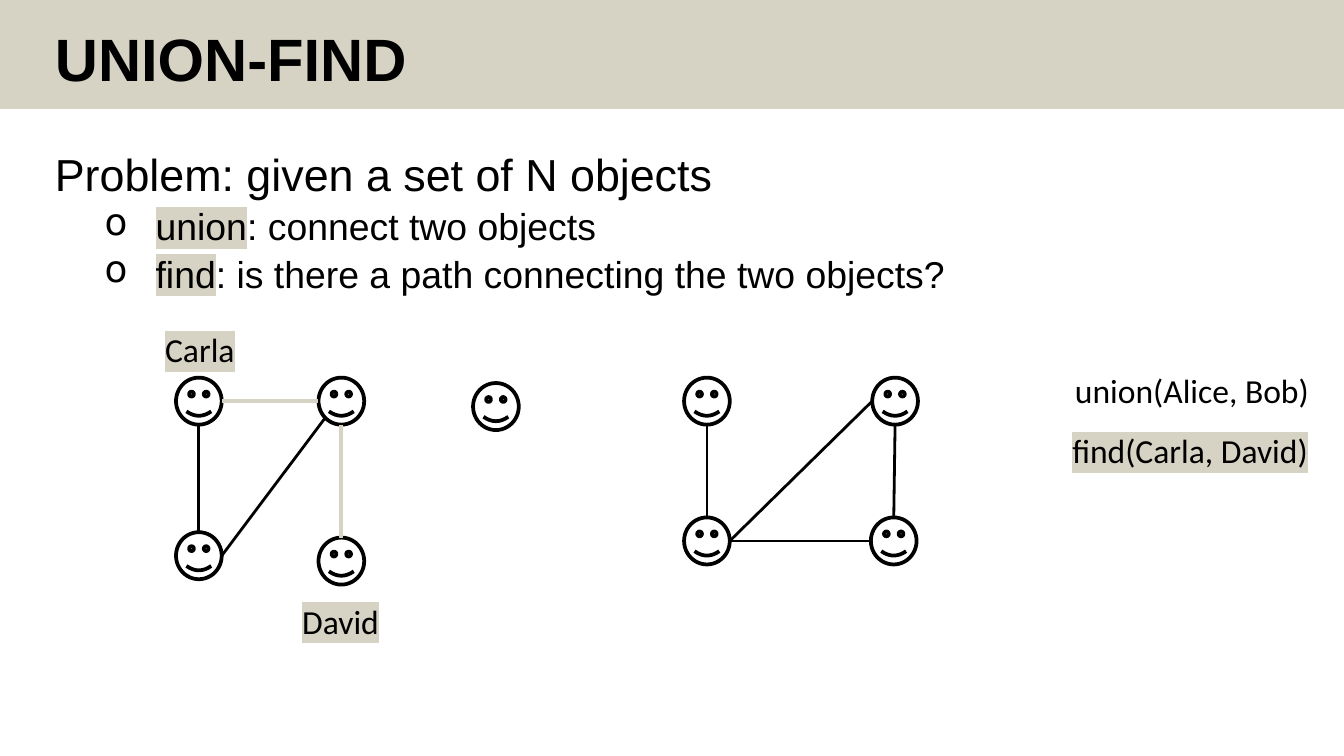
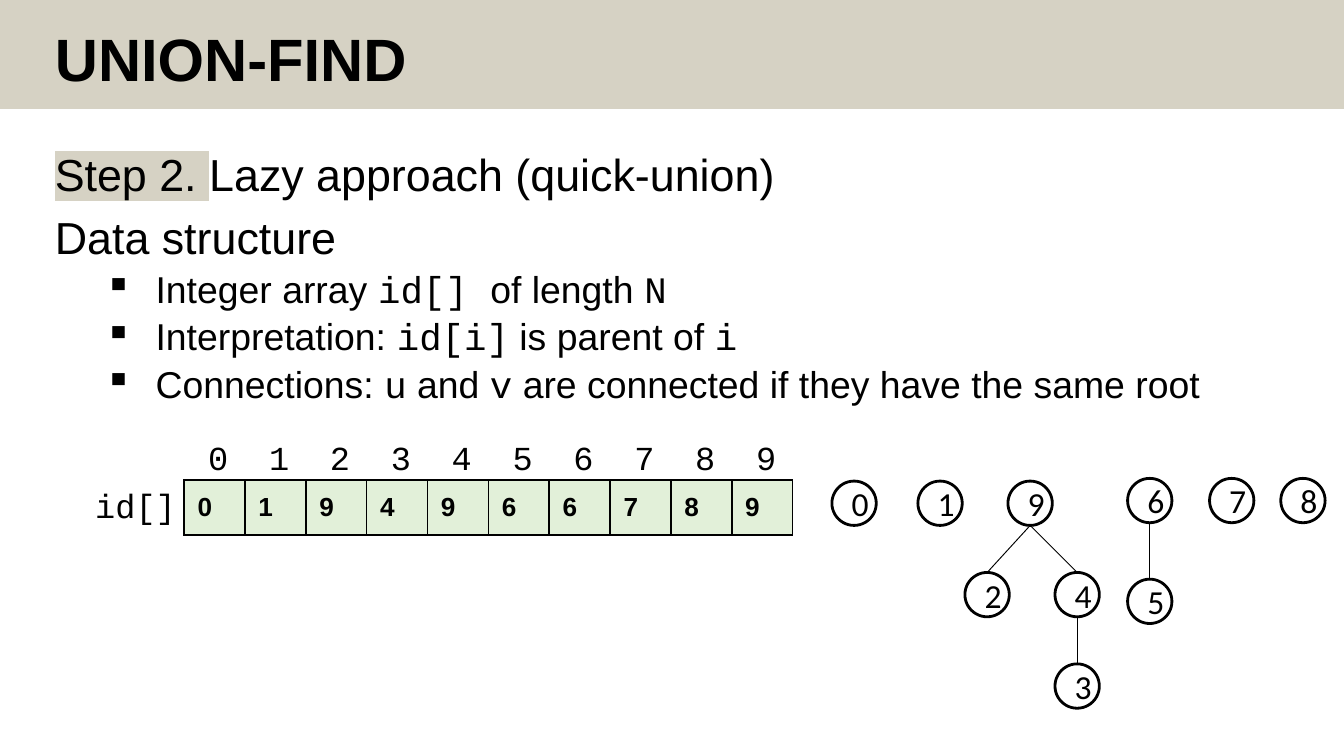
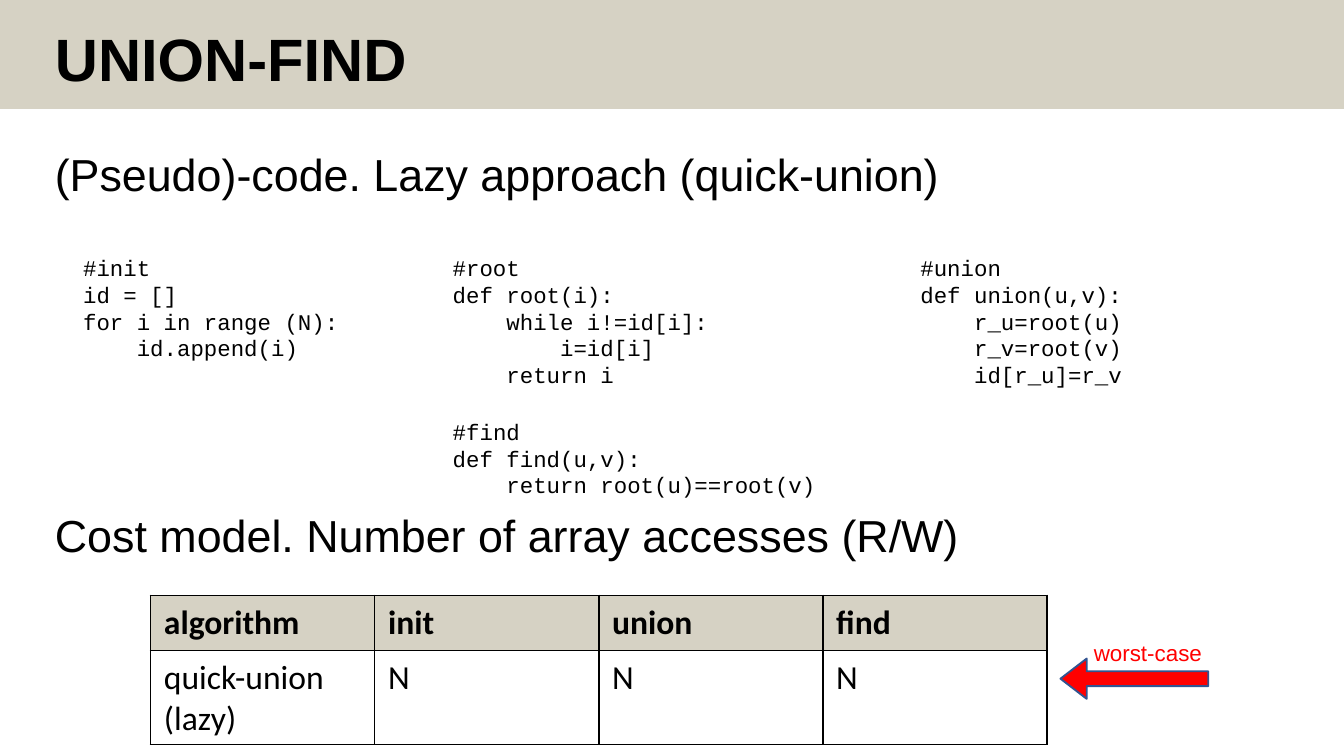
"""Build three union-find slides: the problem, the quick-union data structure and its cost."""
import lxml.etree
import pptx
import pptx.dml.color
import pptx.enum.shapes
import pptx.enum.text
import pptx.oxml.ns
import pptx.util

SAND, BLACK, WHITE, RED, BLUE, GREEN = "D6D2C4", "000000", "FFFFFF", "FF0000", "325491", "E2F0D9"
SHAPES = pptx.enum.shapes.MSO_SHAPE
MIDDLE = pptx.enum.text.MSO_ANCHOR.MIDDLE
qn = pptx.oxml.ns.qn


def paint(fill, colour):
    """Make a fill solid in the colour given as a hex string."""
    fill.solid()
    fill.fore_color.rgb = pptx.dml.color.RGBColor.from_string(colour)


def write_text(text_frame, paragraphs, **style):
    """Write (runs, format) paragraphs, where each run is (text, format)."""
    for number, (runs, paragraph_format) in enumerate(paragraphs):
        look = {"name": "Arial", "colour": BLACK, **style, **paragraph_format}
        paragraph = text_frame.add_paragraph() if number else text_frame.paragraphs[0]
        properties = paragraph._p.get_or_add_pPr()
        if "bullet" in look:
            properties.set("marL", str(pptx.util.Inches(0.75)))
            properties.set("indent", str(pptx.util.Inches(-0.38)))
            lxml.etree.SubElement(properties, qn("a:buChar"), char=look["bullet"])
        if "tabs" in look:
            tab_list = lxml.etree.SubElement(properties, qn("a:tabLst"))
            for position in look["tabs"]:
                lxml.etree.SubElement(tab_list, qn("a:tab"), pos=str(int(position)), algn="l")
        for key in ("alignment", "line_spacing", "space_before"):
            if key in look and (number or key != "space_before"):
                setattr(paragraph, key, look[key])
        for text, run_format in runs:
            run_look = {**look, **run_format}
            run = paragraph.add_run()
            run.text = text
            paint(run.font.fill, run_look["colour"])
            if "highlight" in run_look:
                highlight = lxml.etree.SubElement(run._r.get_or_add_rPr(), qn("a:highlight"))
                lxml.etree.SubElement(highlight, qn("a:srgbClr"), val=run_look["highlight"])
            for key in ("name", "size", "bold"):
                if key in run_look:
                    setattr(run.font, key, run_look[key])


presentation = pptx.Presentation()
presentation.slide_width = pptx.util.Inches(10)
presentation.slide_height = presentation.slide_width * 9 // 16
column = row = presentation.slide_width // 10

size = {points: pptx.util.Pt(points) for points in (12, 14, 18, 20, 24, 32)}
title_style = {"size": size[32], "bold": True, "line_spacing": 0.9}
heading = {"size": size[24], "space_before": pptx.util.Pt(7.5)}
item = {"size": size[20], "space_before": pptx.util.Pt(3.8)}
circle_item = {**item, "bullet": "o"}
square_item = {**item, "bullet": "▪"}
plain = {}
marked = {"highlight": SAND}
mono = {"name": "Courier New"}
name_style = {"name": "Calibri", "size": size[18]}
marked_name = {**name_style, **marked}
array_style = {**mono, "size": size[18]}
code_style = {**mono, "size": size[12]}

bodies = [
    [
        ([("Problem: given a set of N objects", plain)], heading),
        ([("union", marked), (": connect two objects", plain)], circle_item),
        ([("find", marked), (": is there a path connecting the two objects?", plain)], circle_item),
    ],
    [
        ([("Step 2. ", marked), ("Lazy approach (quick-union)", plain)], heading),
        ([("Data structure", plain)], heading),
        ([("Integer array ", plain), ("id[] ", mono), ("of length ", plain), ("N", mono)], square_item),
        ([("Interpretation: ", plain), ("id[i]", mono), (" is parent of ", plain), ("i", mono)], square_item),
        ([("Connections: ", plain), ("u", mono), (" and ", plain), ("v", mono),
          (" are connected if they have the same root", plain)], square_item),
    ],
    [([("(Pseudo)-code. Lazy approach (quick-union)", plain)], heading)],
]

slides = []
for body in bodies:
    slide = presentation.slides.add_slide(presentation.slide_layouts[6])
    slides.append(slide)
    band = slide.shapes.add_shape(SHAPES.RECTANGLE, 0, 0, presentation.slide_width, int(0.81 * row))
    band.shadow.inherit = False
    paint(band.fill, SAND)
    band.line.fill.background()
    for top, height, paragraphs, style in (
        (0.17, 0.64, [([("UNION-FIND", plain)], plain)], title_style),
        (1.09, 4.1, body, {"line_spacing": 0.9}),
    ):
        width = 8.62 if style is title_style else 9.14
        box = slide.shapes.add_textbox(
            int(0.31 * column), int(top * row), int(width * column), int(height * row))
        box.text_frame.word_wrap = True
        write_text(box.text_frame, paragraphs, **style)

problem_slide, structure_slide, cost_slide = slides

array_width = 4.53
index_tabs = [array_width / 10 * column * step for step in range(1, 10)]
init_code = """#init
id = []
for i in range (N):
    id.append(i)"""
root_code = """#root
def root(i):
    while i!=id[i]:
        i=id[i]
    return i"""
find_code = """#find
def find(u,v):
    return root(u)==root(v)"""
union_code = """#union
def union(u,v):
    r_u=root(u)
    r_v=root(v)
    id[r_u]=r_v"""

labels = [
    (problem_slide, 2.15, 4.42, 0.78, 0.4, "David", marked_name),
    (problem_slide, 1.13, 2.4, 0.72, 0.4, "Carla", marked_name),
    (problem_slide, 7.88, 3.15, 1.98, 0.4, "find(Carla, David)", marked_name),
    (problem_slide, 7.9, 2.7, 1.97, 0.4, "union(Alice, Bob)", name_style),
    (structure_slide, 0.61, 3.56, 0.81, 0.4, "id[]", array_style),
    (structure_slide, 1.45, 3.2, 4.72, 0.4, "\t".join("0123456789"), {**array_style, "tabs": index_tabs}),
    (cost_slide, 0.52, 1.84, 2.13, 0.91, init_code, code_style),
    (cost_slide, 3.27, 1.84, 2.13, 1.11, root_code, code_style),
    (cost_slide, 3.27, 3.06, 2.95, 0.71, find_code, code_style),
    (cost_slide, 6.75, 1.84, 2.94, 1.11, union_code, code_style),
    (cost_slide, 0.31, 3.73, 6.99, 0.5, "Cost model. Number of array accesses (R/W)", {"size": size[24]}),
    (cost_slide, 8.04, 4.71, 1.01, 0.3, "worst-case", {"size": size[12], "colour": RED}),
]
for slide, left, top, width, height, text, style in labels:
    box = slide.shapes.add_textbox(
        int(left * column), int(top * row), int(width * column), int(height * row))
    box.text_frame.word_wrap = False
    write_text(box.text_frame, [([(line, plain)], plain) for line in text.splitlines()], **style)

TOP, LEFT, BOTTOM, RIGHT, LOWER_LEFT = (0.5, 0), (0, 0.5), (0.5, 1), (1, 0.5), (0.15, 0.85)
people = {
    "Carla": (1.31, 2.81), "below Carla": (1.31, 3.96),
    "above David": (2.37, 2.81), "David": (2.37, 4), "loner": (3.52, 2.85),
    "upper left": (5.09, 2.81), "lower left": (5.09, 3.85),
    "upper right": (6.49, 2.81), "lower right": (6.48, 3.85),
}
friendships = [
    ("Carla", BOTTOM, "below Carla", TOP, BLACK, 1.5),
    ("Carla", RIGHT, "above David", LEFT, SAND, 2),
    ("above David", BOTTOM, "David", TOP, SAND, 2),
    ("below Carla", RIGHT, "above David", LOWER_LEFT, BLACK, 1.5),
    ("upper left", BOTTOM, "lower left", TOP, BLACK, 1.5),
    ("upper right", BOTTOM, "lower right", TOP, BLACK, 1.5),
    ("lower left", RIGHT, "upper right", LEFT, BLACK, 1.5),
    ("lower left", RIGHT, "lower right", LEFT, BLACK, 1.5),
]
tree_nodes = {
    "0": (6.19, 3.58), "1": (6.83, 3.58), "9": (7.5, 3.58), "2": (7.18, 4.26), "4": (7.85, 4.26),
    "3": (7.85, 4.94), "6": (8.39, 3.56), "5": (8.39, 4.31), "7": (9, 3.56), "8": (9.53, 3.56),
}
tree_edges = [(parent, BOTTOM, child, TOP, BLACK, 0.5) for parent, child in ("94", "92", "43", "65")]

graphs = [
    (problem_slide, SHAPES.SMILEY_FACE, 0.34, 0.35, 2, people, friendships),
    (structure_slide, SHAPES.OVAL, 0.33, 0.33, 1.5, tree_nodes, tree_edges),
]
for slide, node_kind, width, height, weight, nodes, edges in graphs:
    for name, (left, top) in nodes.items():
        node = slide.shapes.add_shape(
            node_kind, int(left * column), int(top * row), int(width * column), int(height * row))
        node.shadow.inherit = False
        node.fill.background()
        paint(node.line.fill, BLACK)
        node.line.width = pptx.util.Pt(weight)
        if node_kind == SHAPES.OVAL:
            node.text_frame.vertical_anchor = MIDDLE
            write_text(node.text_frame, [([(name, plain)], plain)],
                       alignment=pptx.enum.text.PP_ALIGN.CENTER, **name_style)
    for start, start_point, end, end_point, colour, thickness in edges:
        ends = []
        for name, (across, down) in ((start, start_point), (end, end_point)):
            left, top = nodes[name]
            ends += [int((left + across * width) * column), int((top + down * height) * row)]
        edge = slide.shapes.add_connector(pptx.enum.shapes.MSO_CONNECTOR.STRAIGHT, *ends)
        paint(edge.line.fill, colour)
        edge.line.width = pptx.util.Pt(thickness)
        lxml.etree.SubElement(edge._element.spPr, qn("a:effectLst"))

array_cell = {"size": size[14], "bold": True}
header_cell = {**name_style, "bold": True}
tables = [
    (structure_slide, 1.37, 3.57, array_width, [(list("0194966789"), GREEN, array_cell)]),
    (cost_slide, 1.12, 4.43, 6.67, [
        (["algorithm", "init", "union", "find"], SAND, header_cell),
        (["quick-union (lazy)", "N", "N", "N"], WHITE, name_style),
    ]),
]
tables[0][4][0][1:]
for slide, left, top, width, table_rows in tables:
    table = slide.shapes.add_table(
        len(table_rows), len(table_rows[0][0]), int(left * column), int(top * row),
        int(width * column), int(0.41 * row * len(table_rows))).table
    table.first_row = table.horz_banding = False
    for row_number, (values, colour, style) in enumerate(table_rows):
        for column_number, value in enumerate(values):
            cell = table.cell(row_number, column_number)
            if style is array_cell:
                cell.vertical_anchor = MIDDLE
            properties = cell._tc.get_or_add_tcPr()
            for side in ("a:lnL", "a:lnR", "a:lnT", "a:lnB"):
                border = lxml.etree.SubElement(properties, qn(side), w=str(pptx.util.Pt(1)))
                border_fill = lxml.etree.SubElement(border, qn("a:solidFill"))
                lxml.etree.SubElement(border_fill, qn("a:srgbClr"), val=BLACK)
            paint(cell.fill, colour)
            write_text(cell.text_frame, [([(value, plain)], plain)], **style)

arrow = cost_slide.shapes.add_shape(
    SHAPES.RIGHT_ARROW, int(7.89 * column), int(4.9 * row), int(1.1 * column), int(0.3 * row))
arrow.rotation = 180
arrow.adjustments[0], arrow.adjustments[1] = 0.37, 0.65
arrow.shadow.inherit = False
paint(arrow.fill, RED)
paint(arrow.line.fill, BLUE)
arrow.line.width = pptx.util.Pt(1)

presentation.save("out.pptx")
